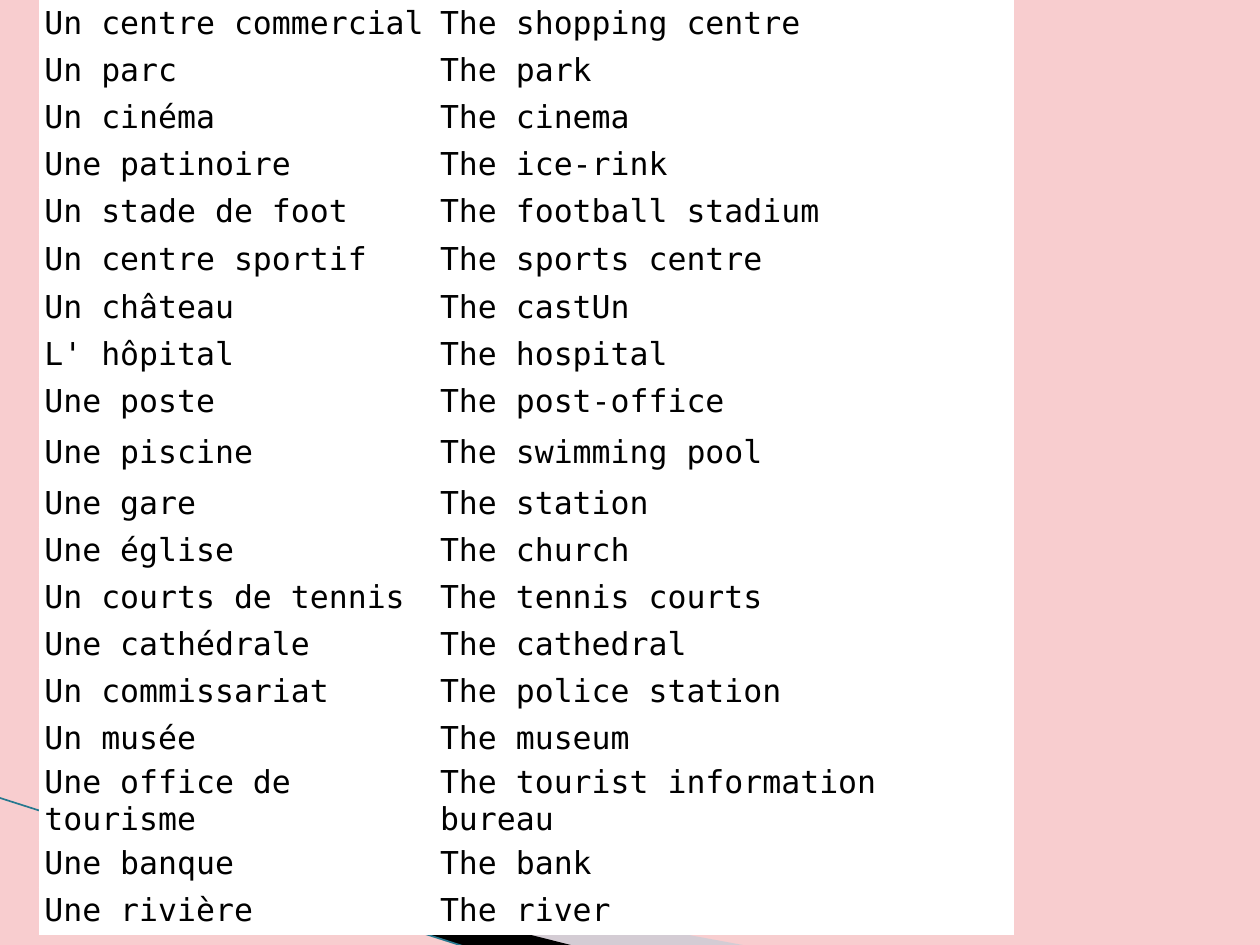
from lxml import etree
from pptx import Presentation
from pptx.dml.color import RGBColor as RGB
from pptx.enum.shapes import MSO_CONNECTOR as CONN
from pptx.enum.text import MSO_ANCHOR as ANCHOR
from pptx.oxml.ns import qn
from pptx.util import Inches, Pt

COLORS = {
    "background": "F8CDCF",
    "pale_wedge": "A0CBDC",
    "dark_wedge": "000000",
    "edge": "26788F",
    "cell": "FFFFFF",
    "text": "000000",
}
FONT = "DejaVu Sans Mono"

PLACES = [
    ("Un centre commercial", "The shopping centre"),
    ("Un parc", "The park"),
    ("Un cinéma", "The cinema"),
    ("Une patinoire", "The ice-rink"),
    ("Un stade de foot", "The football stadium"),
    ("Un centre sportif", "The sports centre"),
    ("Un château", "The castUn"),
    ("L' hôpital", "The hospital"),
    ("Une poste", "The post-office"),
    ("Une piscine", "The swimming pool"),
    ("Une gare", "The station"),
    ("Une église", "The church"),
    ("Un courts de tennis", "The tennis courts"),
    ("Une cathédrale", "The cathedral"),
    ("Un commissariat", "The police station"),
    ("Un musée", "The museum"),
    ("Une office de tourisme", "The tourist information bureau"),
    ("Une banque", "The bank"),
    ("Une rivière", "The river"),
]
LEFT, TOP, HEIGHT = 5 / 16, 0, 7.28
COL_WIDTHS = [3.14, 4.59]
TALL_ROWS = {5: 0.39, 9: 0.44, 16: 0.48}

WEDGES = [
    ("pale_wedge", 40, (0.78, 5.47, 4.16, 1.58),
     [(0.55, 6.51), (5.95, 7.51), (4.56, 7.51), (0.55, 6.5)]),
    ("dark_wedge", 100, (-0.06, 6.33, 4.16, 0.92),
     [(0.53, 6.49), (4.57, 7.51), (3.72, 7.52), (0.54, 6.5)]),
]
EDGE = [(-0.01, 6.33), (3.71, 7.52)]


def color(name):
    return RGB.from_string(COLORS[name])


def set_frame(sp, frame):
    left, top, width, height = [Inches(v) for v in frame]
    dx, dy = sp.left - left, sp.top - top
    outline = sp._element.spPr.find(".//" + qn("a:pathLst"))[0]
    outline.set("w", str(width))
    outline.set("h", str(height))
    for pt in outline.iter(qn("a:pt")):
        pt.set("x", str(int(pt.get("x")) + dx))
        pt.set("y", str(int(pt.get("y")) + dy))
    sp.left, sp.top, sp.width, sp.height = left, top, width, height


def add_wedge(slide, name, opacity, frame, points):
    start, *rest = [(Inches(x), Inches(y)) for x, y in points]
    builder = slide.shapes.build_freeform(*start)
    builder.add_line_segments(rest, close=True)
    sp = builder.convert_to_shape()
    set_frame(sp, frame)
    sp.shadow.inherit = False
    sp.fill.solid()
    sp.fill.fore_color.rgb = color(name)
    sp.line.fill.background()
    if opacity < 100:
        clr = sp._element.spPr.find(".//" + qn("a:srgbClr"))
        etree.SubElement(clr, qn("a:alpha")).set("val", str(opacity * 1000))


def add_edge(slide):
    ends = [Inches(v) for point in EDGE for v in point]
    line = slide.shapes.add_connector(CONN.STRAIGHT, *ends)
    line.line.color.rgb = color("edge")
    line.line.width = Pt(0.95)
    etree.SubElement(line._element.spPr, qn("a:effectLst"))


def fill_cell(cell, text):
    cell.fill.solid()
    cell.fill.fore_color.rgb = color("cell")
    cell.vertical_anchor = ANCHOR.MIDDLE
    cell.margin_left = cell.margin_right = Inches(0.04)
    cell.margin_top = cell.margin_bottom = Inches(0.02)
    cell.text = text
    font = cell.text_frame.paragraphs[0].font
    font.name = FONT
    font.size = Pt(18)
    font.color.rgb = color("text")


def add_vocabulary(slide):
    frame = slide.shapes.add_table(
        len(PLACES), len(COL_WIDTHS), Inches(LEFT), Inches(TOP),
        Inches(sum(COL_WIDTHS)), Inches(HEIGHT))
    table = frame.table
    table.first_row = table.horz_banding = False
    for col, width in zip(table.columns, COL_WIDTHS):
        col.width = Inches(width)
    usual = (HEIGHT - sum(TALL_ROWS.values())) / (len(PLACES) - len(TALL_ROWS))
    for i, (row, texts) in enumerate(zip(table.rows, PLACES)):
        row.height = Inches(TALL_ROWS.get(i, usual))
        for cell, text in zip(row.cells, texts):
            fill_cell(cell, text)


def main():
    prs = Presentation()
    prs.slide_width, prs.slide_height = Inches(10), Inches(7.5)
    slide = prs.slides.add_slide(prs.slide_layouts[6])
    slide.background.fill.solid()
    slide.background.fill.fore_color.rgb = color("background")
    for wedge in WEDGES:
        add_wedge(slide, *wedge)
    add_edge(slide)
    add_vocabulary(slide)
    prs.save("out.pptx")


if __name__ == "__main__":
    main()
